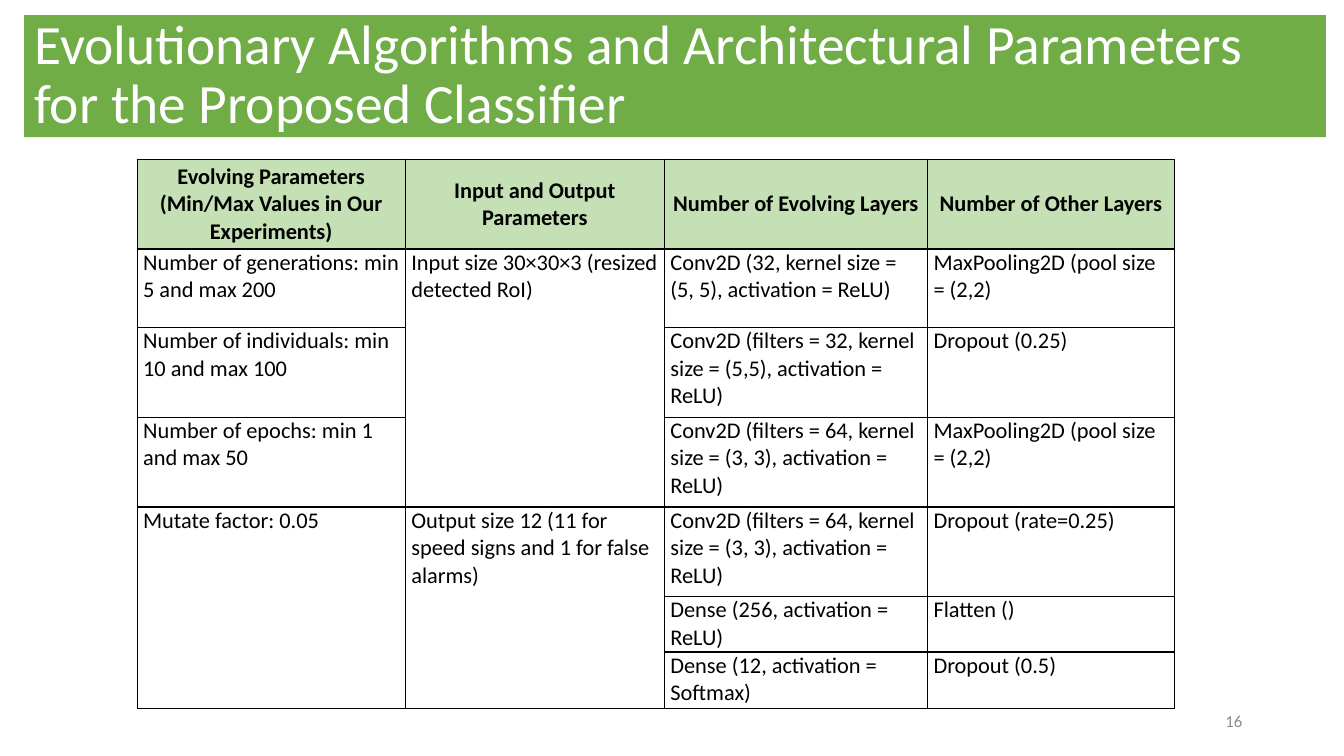
from lxml import etree
from pptx import Presentation
from pptx import util as u
from pptx.dml.color import RGBColor
from pptx.enum import text
from pptx.oxml import ns

PX = 9144
FONT = "Calibri"
COLOURS = {
    "banner": "70AD47",
    "header": "C5E0B4",
    "white": "FFFFFF",
    "ink": "000000",
    "number": "8C8C8C",
}
COLUMNS = [266, 257, 261, 245]
ROWS = [89, 78, 89, 89, 89, 55, 56]
CONV_64 = "Conv2D (filters = 64, kernel size = (3, 3), activation = ReLU)"
POOLING = "MaxPooling2D (pool size = (2,2)"
CELLS = [
    ["Evolving Parameters (Min/Max Values in Our Experiments)",
     "Input and Output Parameters", "Number of Evolving Layers", "Number of Other Layers"],
    ["Number of generations: min 5 and max 200", "Input size 30×30×3 (resized detected RoI)",
     "Conv2D (32, kernel size = (5, 5), activation = ReLU)", POOLING],
    ["Number of individuals: min 10 and max 100", "",
     "Conv2D (filters = 32, kernel size = (5,5), activation = ReLU)", "Dropout (0.25)"],
    ["Number of epochs: min 1 and max 50", "", CONV_64, POOLING],
    ["Mutate factor: 0.05", "Output size 12 (11 for speed signs and 1 for false alarms)",
     CONV_64, "Dropout (rate=0.25)"],
    ["", "", "Dense (256, activation = ReLU)", "Flatten ()"],
    ["", "", "Dense (12, activation = Softmax)", "Dropout (0.5)"],
]
MERGES = [((1, 1), (3, 1)), ((4, 0), (6, 0)), ((4, 1), (6, 1))]


def colour(name):
    return RGBColor.from_string(COLOURS[name])


def apply(target, values):
    for name, value in values.items():
        setattr(target, name, value)


def place(shape, box):
    apply(shape, dict(zip(("left", "top", "width", "height"), (n * PX for n in box))))


def write(frame, words, size, ink, align, bold=False, spacing=None):
    para = frame.paragraphs[0]
    apply(para, {"alignment": align, "line_spacing": spacing})
    span = para.add_run()
    span.text = words
    apply(span.font, {"name": FONT, "size": u.Pt(size), "bold": bold})
    span.font.color.rgb = colour(ink)


def add_borders(cell):
    properties = cell._tc.get_or_add_tcPr()
    for index, side in enumerate(("lnL", "lnR", "lnT", "lnB")):
        line = etree.Element(ns.qn(f"a:{side}"), w=str(u.Pt(1)))
        fill = etree.SubElement(line, ns.qn("a:solidFill"))
        etree.SubElement(fill, ns.qn("a:srgbClr"), val=COLOURS["ink"])
        properties.insert(index, line)


def add_banner(page, box):
    title = page.shapes.title
    place(title, box)
    title.fill.solid()
    title.fill.fore_color.rgb = colour("banner")
    apply(title.text_frame, {
        "word_wrap": True,
        "auto_size": text.MSO_AUTO_SIZE.NONE,
        "vertical_anchor": text.MSO_ANCHOR.MIDDLE,
    })
    write(title.text_frame,
          "Evolutionary Algorithms and Architectural Parameters for the Proposed Classifier",
          39.6, "white", text.PP_ALIGN.LEFT, spacing=0.9)


def fill_cell(cell, words, is_header):
    apply(cell, {
        "margin_left": 6 * PX,
        "margin_right": 6 * PX,
        "margin_top": 0,
        "margin_bottom": 0,
        "vertical_anchor": text.MSO_ANCHOR.MIDDLE if is_header else text.MSO_ANCHOR.TOP,
    })
    if is_header:
        cell.fill.solid()
        cell.fill.fore_color.rgb = colour("header")
    else:
        cell.fill.background()
    add_borders(cell)
    if words:
        align = text.PP_ALIGN.CENTER if is_header else text.PP_ALIGN.LEFT
        write(cell.text_frame, words, 16, "ink", align, bold=is_header)


def add_parameters(page, left, top):
    box = [n * PX for n in (left, top, sum(COLUMNS), sum(ROWS))]
    table = page.shapes.add_table(len(ROWS), len(COLUMNS), *box).table
    apply(table, {"first_row": False, "horz_banding": False})
    for column, width in zip(table.columns, COLUMNS):
        column.width = width * PX
    for row, height in zip(table.rows, ROWS):
        row.height = height * PX
    for first, last in MERGES:
        table.cell(*first).merge(table.cell(*last))
    for r, line in enumerate(CELLS):
        for c, words in enumerate(line):
            fill_cell(table.cell(r, c), words, r == 0)


def add_page_number(page, box):
    frame = page.shapes.add_textbox(*(n * PX for n in box)).text_frame
    apply(frame, {"word_wrap": True, "vertical_anchor": text.MSO_ANCHOR.MIDDLE})
    write(frame, "16", 12, "number", text.PP_ALIGN.RIGHT)


def main():
    deck = Presentation()
    apply(deck, {"slide_width": 1333 * PX, "slide_height": 750 * PX})
    page = deck.slides.add_slide(deck.slide_layouts[5])
    add_banner(page, (24, 15, 1291, 121))
    add_page_number(page, (942, 695, 300, 40))
    add_parameters(page, 136, 158)
    deck.save("out.pptx")


if __name__ == "__main__":
    main()
